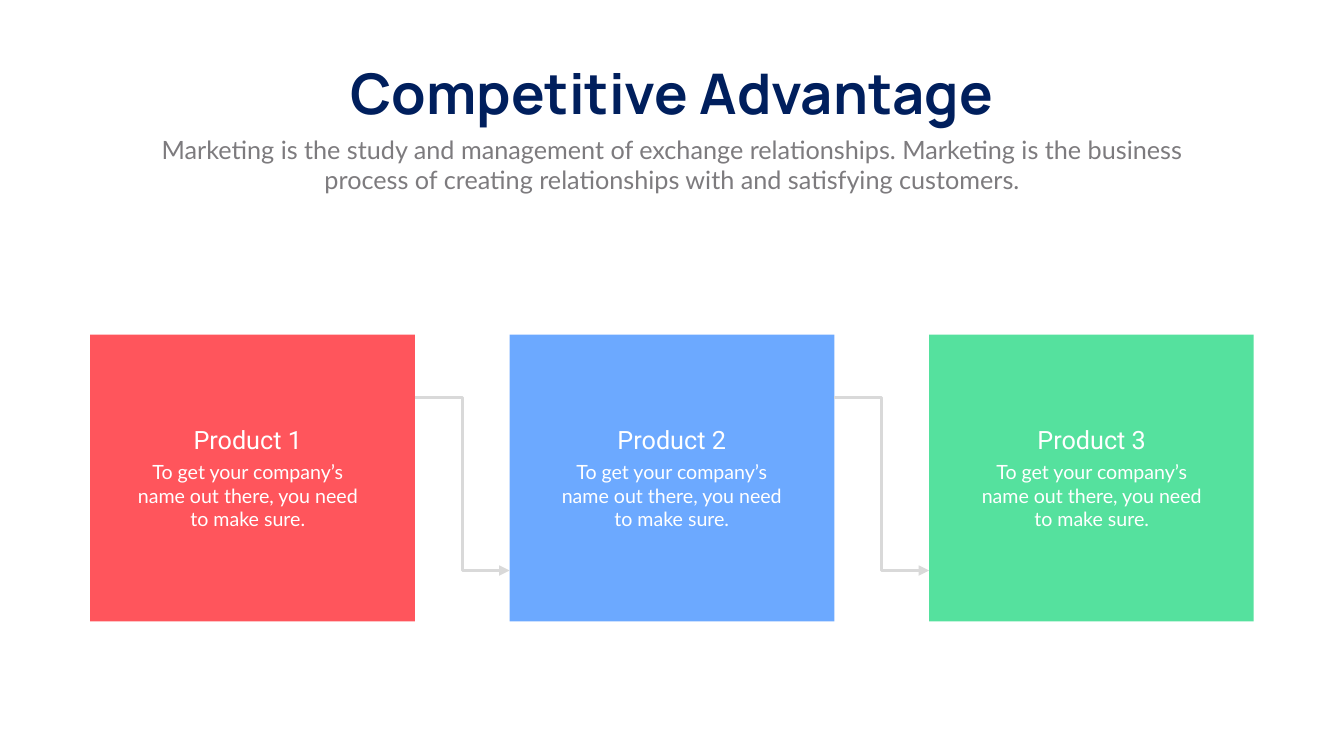
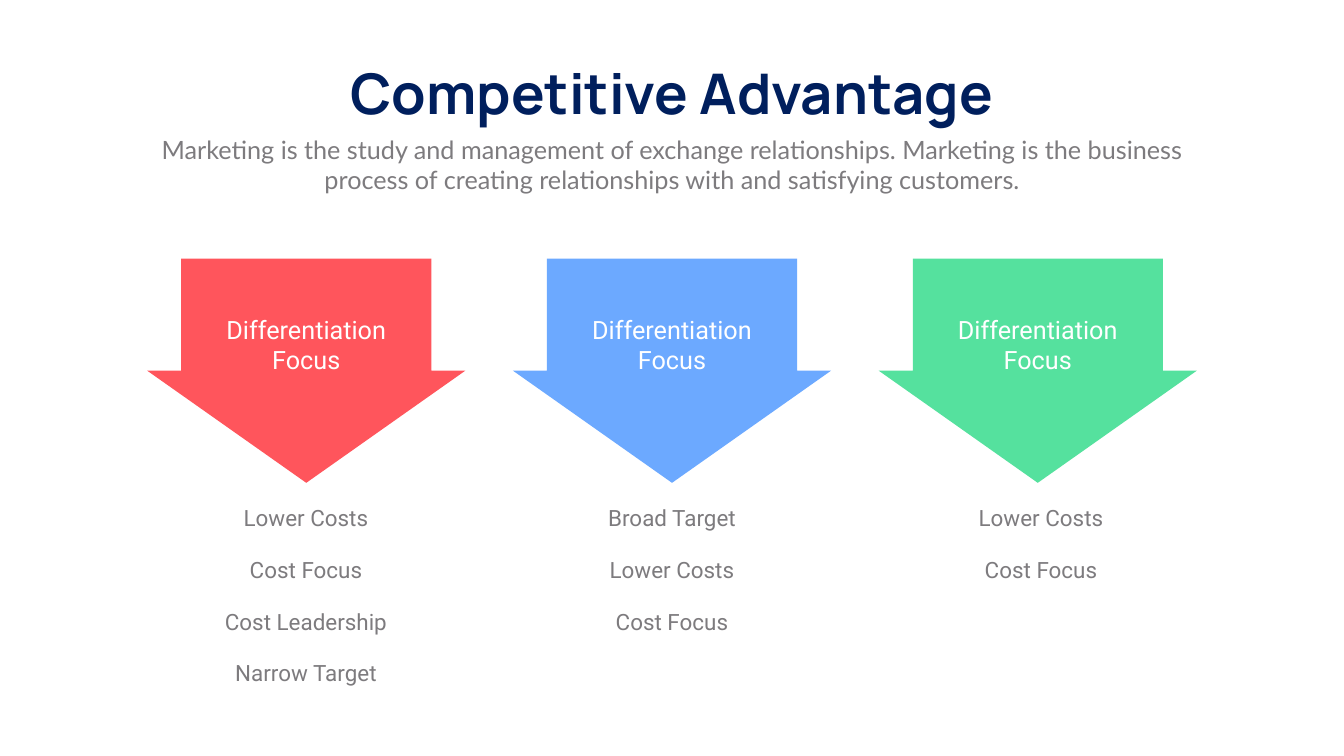
from dataclasses import dataclass

from lxml.etree import SubElement
from pptx import Presentation
from pptx.dml.color import RGBColor
from pptx.enum.shapes import MSO_CONNECTOR, MSO_SHAPE
from pptx.enum.text import MSO_AUTO_SIZE, PP_ALIGN
from pptx.oxml.ns import qn
from pptx.presentation import Presentation as Deck
from pptx.shapes.autoshape import Shape
from pptx.slide import Slide
from pptx.util import Inches, Pt

NAVY = RGBColor(0x00, 0x1F, 0x5D)
GREY = RGBColor(0x7D, 0x7B, 0x7E)
SILVER = RGBColor(0xD9, 0xD9, 0xD9)
WHITE = RGBColor(0xFF, 0xFF, 0xFF)
RED = RGBColor(0xFF, 0x55, 0x5C)
BLUE = RGBColor(0x6C, 0xA9, 0xFF)
GREEN = RGBColor(0x55, 0xE1, 0x9E)

TITLE = "Competitive Advantage"
SUBTITLE = (
    "Marketing is the study and management of exchange relationships. "
    "Marketing is the business process of creating relationships with "
    "and satisfying customers."
)
PRODUCT_TEXT = "To get your company’s name out there, you need to make sure."

CARD_LEFT, CARD_TOP, CARD_PITCH = 1.79, 6.64, 8.32
CARD_WIDTH, CARD_HEIGHT = 6.44, 5.69
LINK_TOP, LINK_BOTTOM = 7.89, 11.32

ARROW_LEFT, ARROW_TOP, ARROW_PITCH = 3.85, 4.2, 7.255
ARROW_WIDTH, ARROW_HEIGHT = 4.45, 6.31
POINT_TOP, POINT_PITCH = 9.96, 1.024


@dataclass(frozen=True)
class Style:
    """Font, size, colour and weight of a text."""

    font: str
    size: int
    color: RGBColor
    bold: bool = False


@dataclass(frozen=True)
class Product:
    """A coloured card and the left edge of its text."""

    name: str
    color: RGBColor
    text_left: float


@dataclass(frozen=True)
class Focus:
    """A down-pointing arrow and the points listed below it."""

    color: RGBColor
    points_left: float
    points: tuple[str, ...]


TITLE_STYLE = Style("Manrope", 80, NAVY, True)
SUBTITLE_STYLE = Style("Lato", 36, GREY)
HEADING_STYLE = Style("Roboto", 36, WHITE)
BODY_STYLE = Style("Lato", 28, WHITE)
POINT_STYLE = Style("Roboto", 32, GREY)

PRODUCTS = (
    Product("Product 1", RED, 2.42),
    Product("Product 2", BLUE, 10.83),
    Product("Product 3", GREEN, 19.16),
)
FOCUSES = (
    Focus(RED, 3.97, ("Lower Costs", "Cost Focus", "Cost Leadership", "Narrow Target")),
    Focus(BLUE, 11.23, ("Broad Target", "Lower Costs", "Cost Focus")),
    Focus(GREEN, 18.55, ("Lower Costs", "Cost Focus")),
)


def add_text(slide: Slide, text: str, style: Style, left: float, top: float,
             width: float, height: float, wrap: bool = True) -> None:
    """Add a centred text box."""
    box = slide.shapes.add_textbox(Inches(left), Inches(top), Inches(width), Inches(height))
    frame = box.text_frame
    frame.text = text
    frame.word_wrap = wrap
    frame.auto_size = MSO_AUTO_SIZE.SHAPE_TO_FIT_TEXT
    para = frame.paragraphs[0]
    para.alignment = PP_ALIGN.CENTER
    for span in para.runs:
        span.font.name = style.font
        span.font.size = Pt(style.size)
        span.font.bold = style.bold
        span.font.color.rgb = style.color


def add_block(slide: Slide, kind: MSO_SHAPE, color: RGBColor, left: float, top: float,
              width: float, height: float) -> Shape:
    """Add a flat shape without outline."""
    block = slide.shapes.add_shape(kind, Inches(left), Inches(top), Inches(width), Inches(height))
    block.shadow.inherit = False
    block.fill.solid()
    block.fill.fore_color.rgb = color
    block.line.fill.background()
    return block


def add_link(slide: Slide, start: float, end: float) -> None:
    """Add an elbow arrow between two neighbouring cards."""
    link = slide.shapes.add_connector(
        MSO_CONNECTOR.ELBOW, Inches(start), Inches(LINK_TOP), Inches(end), Inches(LINK_BOTTOM))
    link.line.color.rgb = SILVER
    link.line.width = Pt(5)
    SubElement(link.line._get_or_add_ln(), qn("a:tailEnd"), type="triangle")
    SubElement(link._element.spPr, qn("a:effectLst"))


def add_page(deck: Deck) -> Slide:
    """Add a blank page with the shared title and subtitle."""
    page = deck.slides.add_slide(deck.slide_layouts[6])
    add_text(page, TITLE, TITLE_STYLE, 6.28, 1.12, 14.1, 1.45, wrap=False)
    add_text(page, SUBTITLE, SUBTITLE_STYLE, 2.92, 2.61, 20.82, 1.31)
    return page


def build_products(deck: Deck) -> None:
    """Build the page of linked product cards."""
    page = add_page(deck)
    lefts = [CARD_LEFT + index * CARD_PITCH for index in range(len(PRODUCTS))]
    for product, left in zip(PRODUCTS, lefts):
        add_block(page, MSO_SHAPE.RECTANGLE, product.color, left, CARD_TOP, CARD_WIDTH, CARD_HEIGHT)
    for left, next_left in zip(lefts, lefts[1:]):
        add_link(page, left + CARD_WIDTH, next_left)
    for product in PRODUCTS:
        add_text(page, product.name, HEADING_STYLE, product.text_left, 8.37, 4.99, 0.71)
        add_text(page, PRODUCT_TEXT, BODY_STYLE, product.text_left, 9.08, 4.99, 1.51)


def build_focuses(deck: Deck) -> None:
    """Build the page of arrows with their points."""
    page = add_page(deck)
    lefts = [ARROW_LEFT + index * ARROW_PITCH for index in range(len(FOCUSES))]
    for focus, left in zip(FOCUSES, lefts):
        arrow = add_block(page, MSO_SHAPE.RIGHT_ARROW, focus.color,
                          left, ARROW_TOP, ARROW_WIDTH, ARROW_HEIGHT)
        arrow.rotation = 90
        arrow.adjustments[0] = 0.786
        arrow.adjustments[1] = 0.5
    for left in lefts:
        add_text(page, "Differentiation Focus", HEADING_STYLE, left + 0.255, 6.18, 3.94, 1.31)
    for focus in FOCUSES:
        for row, point in enumerate(focus.points):
            add_text(page, point, POINT_STYLE, focus.points_left,
                     POINT_TOP + row * POINT_PITCH, 4.2, 0.64)


def main() -> None:
    """Build and save the deck."""
    deck = Presentation()
    deck.slide_width = Inches(26.66)
    deck.slide_height = Inches(15)
    build_products(deck)
    build_focuses(deck)
    deck.save("out.pptx")


if __name__ == "__main__":
    main()
